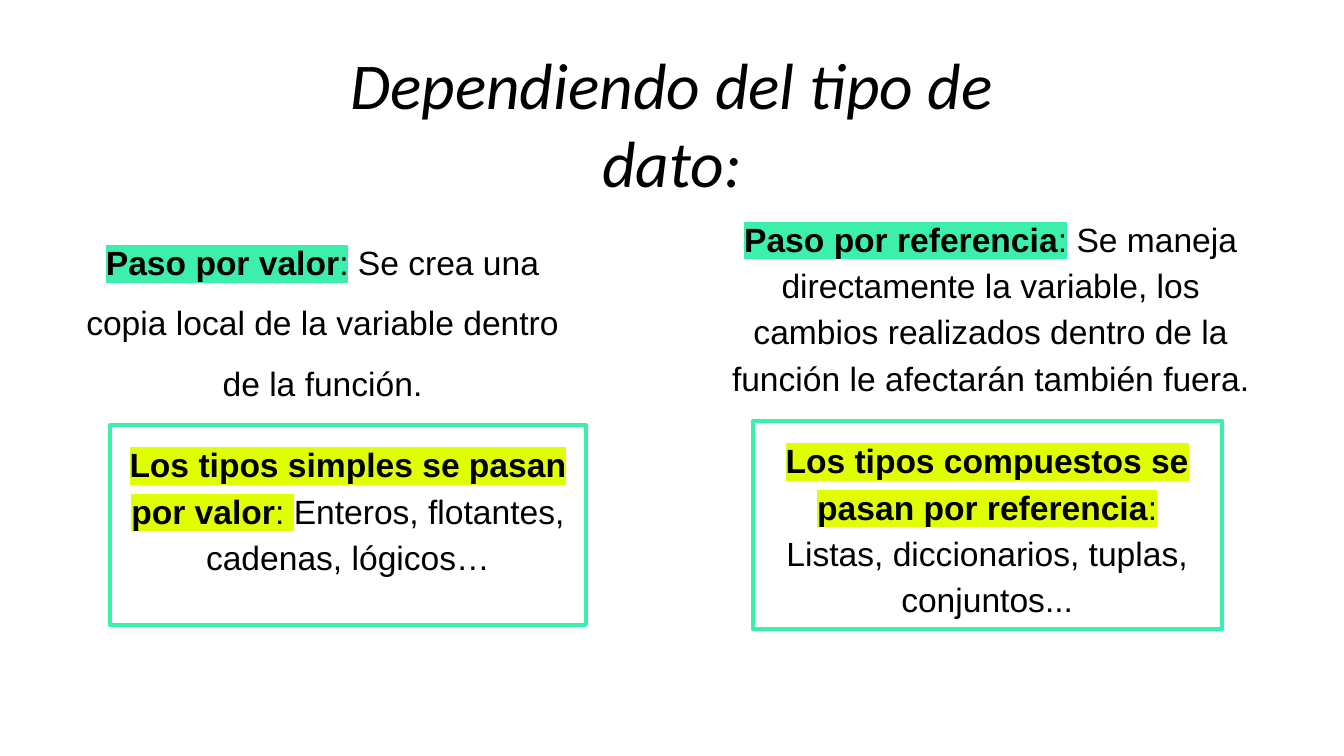
from lxml import etree
from pptx import Presentation
from pptx.dml.color import RGBColor
from pptx.enum.shapes import MSO_SHAPE
from pptx.enum.text import MSO_ANCHOR, MSO_AUTO_SIZE, PP_ALIGN
from pptx.oxml.ns import qn
from pptx.util import Pt

RECT = MSO_SHAPE.RECTANGLE
TOP, MIDDLE = MSO_ANCHOR.TOP, MSO_ANCHOR.MIDDLE
CENTER = PP_ALIGN.CENTER
FIXED = MSO_AUTO_SIZE.NONE
BLACK = RGBColor(0, 0, 0)
GREEN = RGBColor(0x3C, 0xEF, 0xAB)
YELLOW = RGBColor(0xE0, 0xFF, 0x00)

TITLE = "Dependiendo del tipo de dato:"
TITLE_BOX = (143.3, 33, 433.4, 65)
NOTES = [
    ("Paso por valor", ":",
     " Se crea una copia local de la variable dentro de la función.",
     (31.7, 111.6, 282.2, 101.5), 1.5),
    ("Paso por referencia", ":",
     " Se maneja directamente la variable, los cambios realizados dentro "
     "de la función le afectarán también fuera.",
     (376.6, 106.6, 308.2, 111.6), 1.15),
]
CARDS = [
    ("Los tipos simples se pasan por valor", ": ",
     "Enteros, flotantes, cadenas, lógicos…",
     (59, 227.5, 254.9, 107.3), 1.15),
    ("Los tipos compuestos se pasan por referencia", ":",
     " Listas, diccionarios, tuplas, conjuntos...",
     (403.2, 225.4, 251.3, 111.6), 1.15),
]


def write(shape, runs, size=18, font="Arial", italic=False, mark=None,
          space=1.0, anchor=TOP):
    frame = shape.text_frame
    frame.word_wrap = True
    frame.auto_size = FIXED
    frame.vertical_anchor = anchor
    frame.margin_left = frame.margin_right = Pt(7.2)
    frame.margin_top = frame.margin_bottom = Pt(7.2)
    para = frame.paragraphs[0]
    para.alignment = CENTER
    para.line_spacing = space
    for text, bold, marked in runs:
        run = para.add_run()
        run.text = text
        face = run.font
        face.name, face.size = font, Pt(size)
        face.bold, face.italic = bold, italic
        face.color.rgb = BLACK
        if marked:
            light = etree.Element(qn("a:highlight"))
            etree.SubElement(light, qn("a:srgbClr"), val=str(mark))
            run.font._element.find(qn("a:solidFill")).addnext(light)


def main():
    deck = Presentation()
    deck.slide_width, deck.slide_height = Pt(720), Pt(405)
    slide = deck.slides.add_slide(deck.slide_layouts[5])
    title = slide.shapes.title
    title.left, title.top, title.width, title.height = map(Pt, TITLE_BOX)
    write(title, [(TITLE, False, False)], size=35, font="Calibri",
          italic=True, anchor=MIDDLE)

    for group, mark in ((NOTES, GREEN), (CARDS, YELLOW)):
        for term, colon, body, box, space in group:
            place = map(Pt, box)
            if group is CARDS:
                shape = slide.shapes.add_shape(RECT, *place)
                shape.shadow.inherit = False
                shape.fill.background()
                shape.line.color.rgb = GREEN
                shape.line.width = Pt(2.25)
            else:
                shape = slide.shapes.add_textbox(*place)
            runs = [(term, True, True), (colon, False, True),
                    (body, False, False)]
            write(shape, runs, mark=mark, space=space)

    deck.save("out.pptx")


if __name__ == "__main__":
    main()
